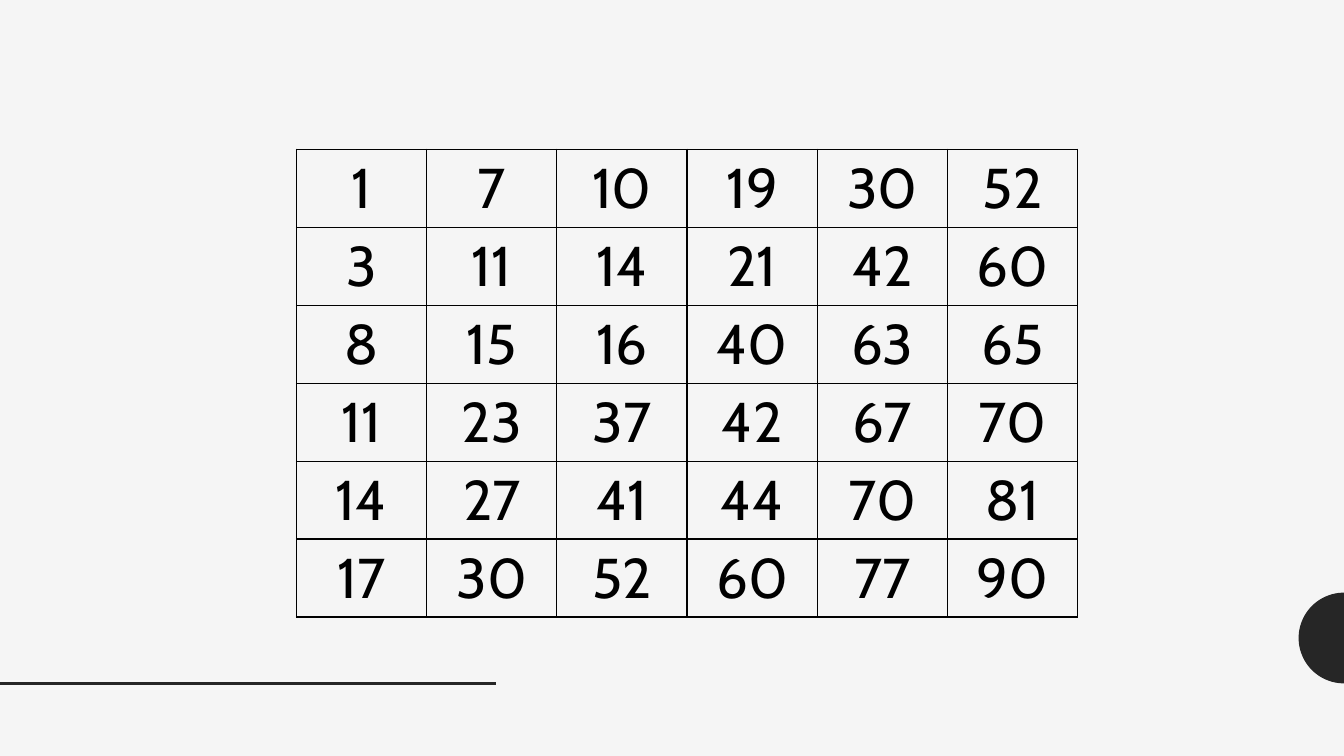
from math import cos, pi, sin

from lxml.etree import SubElement as Sub
from pptx import Presentation
from pptx.dml.color import RGBColor as Rgb
from pptx.enum.shapes import MSO_CONNECTOR as Link
from pptx.enum.text import PP_ALIGN as Align
from pptx.oxml.ns import qn
from pptx.util import Inches, Pt

WIDE, HIGH = 13.33, 7.5
ROWS = [
    [1, 7, 10, 19, 30, 52],
    [3, 11, 14, 21, 42, 60],
    [8, 15, 16, 40, 63, 65],
    [11, 23, 37, 42, 67, 70],
    [14, 27, 41, 44, 70, 81],
    [17, 30, 52, 60, 77, 90],
]


def tint(color, value):
    color.rgb = Rgb.from_string(value)


class Board:
    font, size = "Cabin", 40
    paper, ink, text = "F5F5F5", "262626", "000000"

    def __init__(self, slide):
        self.slide = slide
        fill = slide.background.fill
        fill.solid()
        tint(fill.fore_color, self.paper)

    def half(self, x, y, radius, steps=48):
        """Draw the left half of a disc centred on x, y."""
        turns = [pi / 2 + pi * i / steps for i in range(steps + 1)]
        points = [
            (Inches(x + radius * cos(turn)), Inches(y + radius * sin(turn)))
            for turn in turns
        ]
        pen = self.slide.shapes.build_freeform(*points[0])
        pen.add_line_segments(points[1:], close=True)
        shape = pen.convert_to_shape()
        shape.shadow.inherit = False
        shape.fill.solid()
        tint(shape.fill.fore_color, self.ink)
        shape.line.fill.background()

    def rule(self, left, right, y, width):
        line = self.slide.shapes.add_connector(
            Link.STRAIGHT, Inches(left), Inches(y), Inches(right), Inches(y)
        )
        tint(line.line.color, self.ink)
        line.line.width = Pt(width)
        Sub(line._element.spPr, qn("a:effectLst"))

    def grid(self, rows, left, top, wide, high):
        """Add a ruled table without shading."""
        table = self.slide.shapes.add_table(
            len(rows), len(rows[0]),
            Inches(left), Inches(top), Inches(wide), Inches(high),
        ).table
        table.first_row = table.horz_banding = False
        for r, row in enumerate(rows):
            for c, value in enumerate(row):
                self.cell(table.cell(r, c), str(value))

    def cell(self, cell, text):
        props = cell._tc.get_or_add_tcPr()
        for side in "LRTB":
            edge = Sub(props, qn(f"a:ln{side}"), w=str(Pt(1)))
            solid = Sub(edge, qn("a:solidFill"))
            Sub(solid, qn("a:srgbClr"), val=self.text)
        cell.fill.background()
        cell.text_frame.text = text
        para = cell.text_frame.paragraphs[0]
        para.alignment = Align.CENTER
        font = para.runs[0].font
        font.name, font.size = self.font, Pt(self.size)
        tint(font.color, self.text)


def main():
    deck = Presentation()
    deck.slide_width, deck.slide_height = Inches(WIDE), Inches(HIGH)
    board = Board(deck.slides.add_slide(deck.slide_layouts[6]))
    board.half(WIDE, 6.33, 0.45)
    board.rule(0, 4.92, 6.78, 2)
    board.grid(ROWS, 2.94, 1.48, 7.75, 4.6)
    deck.save("out.pptx")


if __name__ == "__main__":
    main()
